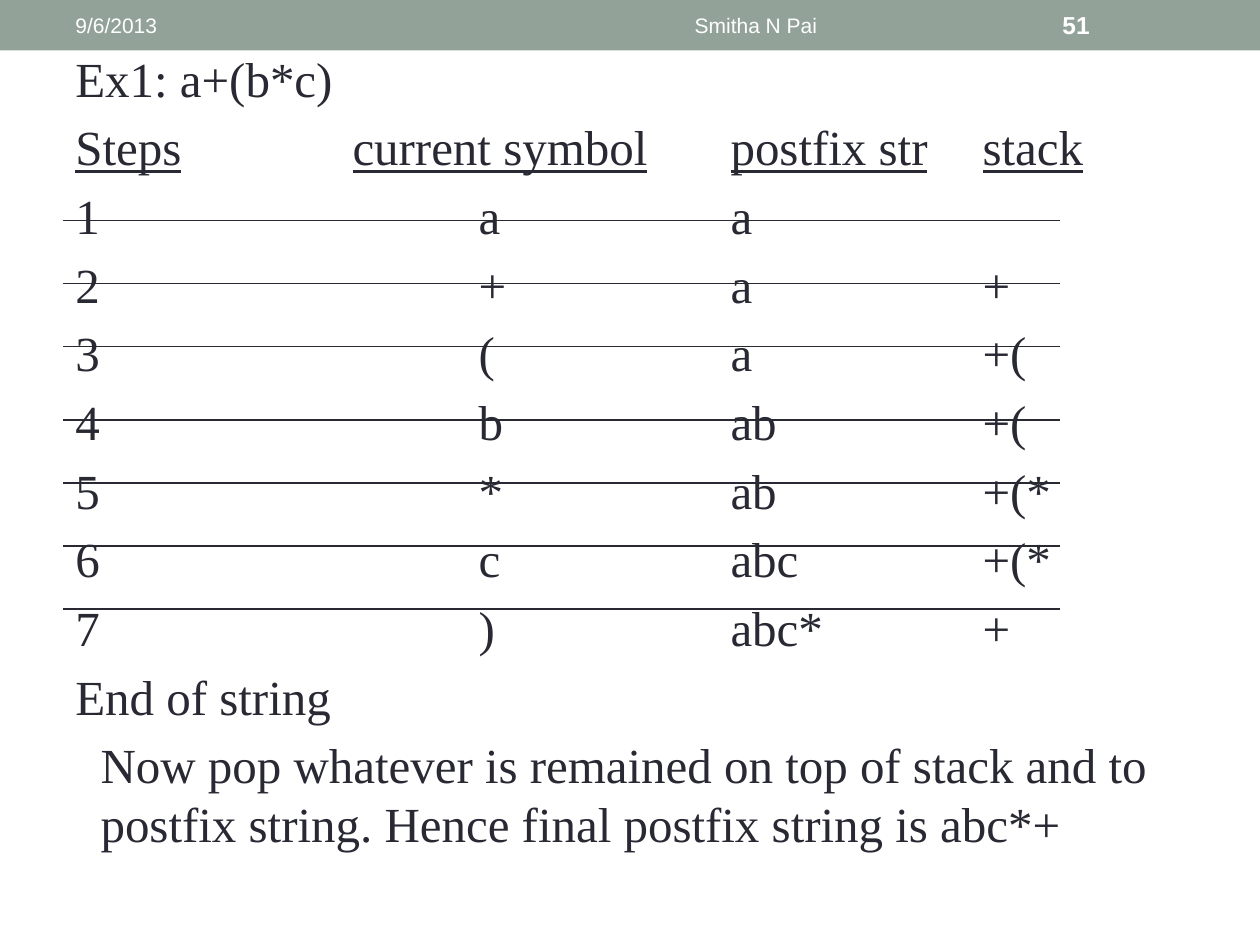
from pptx import Presentation, oxml
from pptx import util as u
from pptx.dml import color as col
from pptx.enum import shapes, text
from pptx.oxml import ns

Pt = u.Pt
COLORS = {"band": "93A299", "ink": "292934", "light": "FFFFFF"}
BODY = {"name": "Times New Roman", "size": Pt(28)}
HEAD = {**BODY, "underline": True}
META = {"name": "Arial", "size": Pt(12)}
PAGE = {"name": "Arial", "size": Pt(14), "bold": True}

TITLES = ["Steps", "current symbol", "postfix str", "stack"]
STEPS = [
    ("a", "a", ""),
    ("+", "a", "+"),
    ("(", "a", "+("),
    ("b", "ab", "+("),
    ("*", "ab", "+(*"),
    ("c", "abc", "+(*"),
    (")", "abc*", "+"),
]
HEAD_TABS = [158.4, 374.4, 518.4]
ROW_TABS = [230.4, 374.4, 518.4]
CLOSE = ("Now pop whatever is remained on top of stack and to postfix string. "
         "Hence final postfix string is abc*+")


def rgb(key):
    return col.RGBColor.from_string(COLORS[key])


def set_all(item, vals):
    for key, val in vals.items():
        setattr(item, key, val)


def add_run(para, words, style, hue):
    run = para.add_run()
    run.text = words
    set_all(run.font, style)
    run.font.color.rgb = rgb(hue)


def add_box(slide, x, y, w, h, form):
    box = slide.shapes.add_textbox(Pt(x), Pt(y), Pt(w), Pt(h))
    set_all(box.text_frame, {"word_wrap": True, **form})
    return box.text_frame


def add_tabs(para, stops):
    props = para._p.get_or_add_pPr()
    tabs = oxml.parse_xml(f"<a:tabLst {ns.nsdecls('a')}/>")
    for stop in stops:
        tabs.append(oxml.parse_xml(
            f'<a:tab {ns.nsdecls("a")} pos="{int(Pt(stop))}" algn="l"/>'))
    props.append(tabs)


def add_para(frame, words, style=BODY, stops=(), left=0):
    first = not frame.paragraphs[0].runs
    para = frame.paragraphs[0] if first else frame.add_paragraph()
    if stops:
        add_tabs(para, stops)
    if left:
        para._p.get_or_add_pPr().set("marL", str(int(Pt(left))))
    para.space_before = Pt(0 if first else 5.6)
    add_run(para, words, style, "ink")


def add_band(slide):
    band = slide.shapes.add_shape(
        shapes.MSO_SHAPE.RECTANGLE, Pt(0), Pt(0), Pt(720), Pt(28.8))
    band.shadow.inherit = False
    band.fill.solid()
    band.fill.fore_color.rgb = rgb("band")
    band.line.fill.background()


def add_meta(slide, words, x, w, style, align):
    form = {"vertical_anchor": text.MSO_ANCHOR.MIDDLE}
    para = add_box(slide, x, 1.44, w, 25.92, form).paragraphs[0]
    para.alignment = align
    add_run(para, words, style, "light")


def add_rule(slide, y):
    rule = slide.shapes.add_connector(
        shapes.MSO_CONNECTOR.STRAIGHT, Pt(36), Pt(y), Pt(606), Pt(y))
    rule.line.color.rgb = rgb("ink")
    rule.line.width = Pt(0.75)
    rule._element.spPr.append(
        oxml.parse_xml(f"<a:effectLst {ns.nsdecls('a')}/>"))


def add_body(slide):
    frame = add_box(slide, 36, 24, 648, 504, {"margin_top": Pt(3.6)})
    add_para(frame, "Ex1: a+(b*c)")
    add_para(frame, "\t".join(TITLES), HEAD, HEAD_TABS)
    for num, cells in enumerate(STEPS, 1):
        add_para(frame, "\t".join([str(num), *cells]).rstrip(), BODY, ROW_TABS)
    add_para(frame, "End of string")
    add_para(frame, CLOSE, left=14.4)


def main():
    deck = Presentation()
    set_all(deck, {"slide_width": Pt(720), "slide_height": Pt(540)})
    slide = deck.slides.add_slide(deck.slide_layouts[6])
    add_band(slide)
    add_body(slide)
    for top, count in ((126, 3), (240, 4)):
        for i in range(count):
            add_rule(slide, top + 36 * i)
    side = text.PP_ALIGN
    add_meta(slide, "9/6/2013", 36, 228, META, side.LEFT)
    add_meta(slide, "Smitha N Pai", 270, 324, META, side.CENTER)
    add_meta(slide, "51", 600, 84, PAGE, side.LEFT)
    deck.save("out.pptx")


if __name__ == "__main__":
    main()
